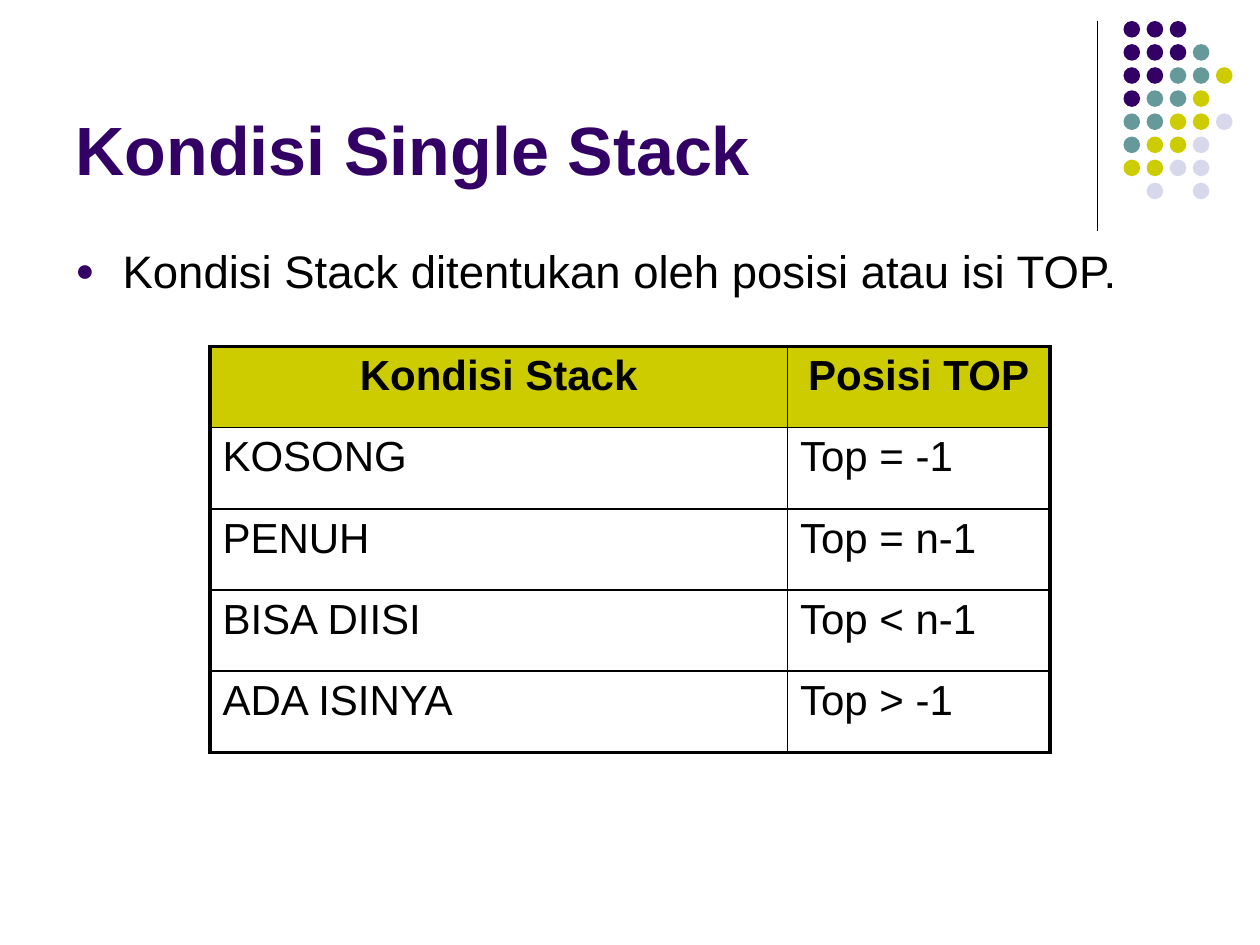
import pptx
import pptx.dml.color
import pptx.enum.shapes
import pptx.enum.text
import pptx.oxml
import pptx.oxml.ns
import pptx.util
from lxml import etree

Pt = pptx.util.Pt
ALIGN = pptx.enum.text.PP_ALIGN
ANCHOR = pptx.enum.text.MSO_ANCHOR
PURPLE, TEAL, OLIVE, LILAC = "330066", "669999", "CCCC00", "D8D8EC"
BLACK = "000000"


def rgb(value):
    """Turn a hex string into a colour."""
    return pptx.dml.color.RGBColor.from_string(value)


def write(frame, text, size, color, bold=False, align=ALIGN.LEFT):
    """Put one formatted paragraph in a text frame and return it."""
    frame.text = text
    paragraph = frame.paragraphs[0]
    paragraph.alignment = align
    font = paragraph.runs[0].font
    font.name, font.size, font.bold = "Arial", Pt(size), bold
    font.color.rgb = rgb(color)
    return paragraph


deck = pptx.Presentation()
deck.slide_width, deck.slide_height = Pt(720), Pt(540)
slide = deck.slides.add_slide(deck.slide_layouts[5])
shapes = slide.shapes

# Corner ornament: a rule and a grid of dots
divider = shapes.add_connector(
    pptx.enum.shapes.MSO_CONNECTOR.STRAIGHT, Pt(627), Pt(12), Pt(627), Pt(132))
divider.line.color.rgb = rgb(BLACK)
divider.line.width = Pt(0.75)
etree.SubElement(divider._element.spPr, pptx.oxml.ns.qn("a:effectLst"))

dot_colors = {"P": PURPLE, "T": TEAL, "O": OLIVE, "L": LILAC}
dot_rows = ["PPP", "PPPT", "PPTTO", "PTTO", "TTOOL", "TOOL", "OOLL", " L L"]
dots = shapes.add_group_shape()
for row, letters in enumerate(dot_rows):
    for column, letter in enumerate(letters):
        if letter == " ":
            continue
        dot = dots.shapes.add_shape(
            pptx.enum.shapes.MSO_SHAPE.OVAL,
            Pt(642 + 13.2 * column), Pt(12 + 13.2 * row), Pt(9.5), Pt(9.5))
        dot.shadow.inherit = False
        dot.fill.solid()
        dot.fill.fore_color.rgb = rgb(dot_colors[letter])
        dot.line.fill.background()

# Title
title = shapes.title
title.left, title.top, title.width, title.height = Pt(36), Pt(9), Pt(594), Pt(102.5)
title.text_frame.auto_size = pptx.enum.text.MSO_AUTO_SIZE.NONE
title.text_frame.vertical_anchor = ANCHOR.BOTTOM
write(title.text_frame, "Kondisi Single Stack", 39, PURPLE, bold=True)

# Bulleted statement
statement = shapes.add_textbox(Pt(36), Pt(135.5), Pt(648), Pt(347))
statement.text_frame.word_wrap = True
point = write(statement.text_frame,
              "Kondisi Stack ditentukan oleh posisi atau isi TOP.", 26, BLACK)
point.space_before = Pt(5.2)
point_format = point._p.get_or_add_pPr()
point_format.set("marL", str(Pt(27)))
point_format.set("indent", str(-Pt(27)))
bullet_color = etree.SubElement(point_format, pptx.oxml.ns.qn("a:buClr"))
etree.SubElement(bullet_color, pptx.oxml.ns.qn("a:srgbClr"), val=PURPLE)
etree.SubElement(point_format, pptx.oxml.ns.qn("a:buSzPct"), val="70000")
etree.SubElement(point_format, pptx.oxml.ns.qn("a:buFont"), typeface="Arial")
etree.SubElement(point_format, pptx.oxml.ns.qn("a:buChar"), char="●")

# Table of stack conditions
conditions = [
    ("Kondisi Stack", "Posisi TOP"),
    ("KOSONG", "Top = -1"),
    ("PENUH", "Top = n-1"),
    ("BISA DIISI", "Top < n-1"),
    ("ADA ISINYA", "Top > -1"),
]
last_row = len(conditions) - 1
table = shapes.add_table(len(conditions), 2, Pt(120), Pt(198), Pt(480), Pt(232)).table
table.horz_banding = False
table.columns[0].width, table.columns[1].width = Pt(330), Pt(150)

for row, texts in enumerate(conditions):
    table.rows[row].height = Pt(46.4)
    header = row == 0
    for column, text in enumerate(texts):
        cell = table.cell(row, column)
        paragraph = write(cell.text_frame, text, 24, BLACK, bold=header,
                          align=ALIGN.CENTER if header else ALIGN.LEFT)
        paragraph.space_before = Pt(4.8)
        cell_format = cell._tc.get_or_add_tcPr()
        outer_edges = {"lnL": column == 0, "lnR": column == 1,
                       "lnT": header, "lnB": row == last_row}
        for edge, outer in outer_edges.items():
            border = etree.SubElement(cell_format, pptx.oxml.ns.qn("a:" + edge),
                                      w=str(Pt(2.25 if outer else 1)))
            border_fill = etree.SubElement(border, pptx.oxml.ns.qn("a:solidFill"))
            etree.SubElement(border_fill, pptx.oxml.ns.qn("a:srgbClr"), val=BLACK)
        if header:
            cell.fill.solid()
            cell.fill.fore_color.rgb = rgb(OLIVE)
        else:
            cell.fill.background()

deck.save("out.pptx")
